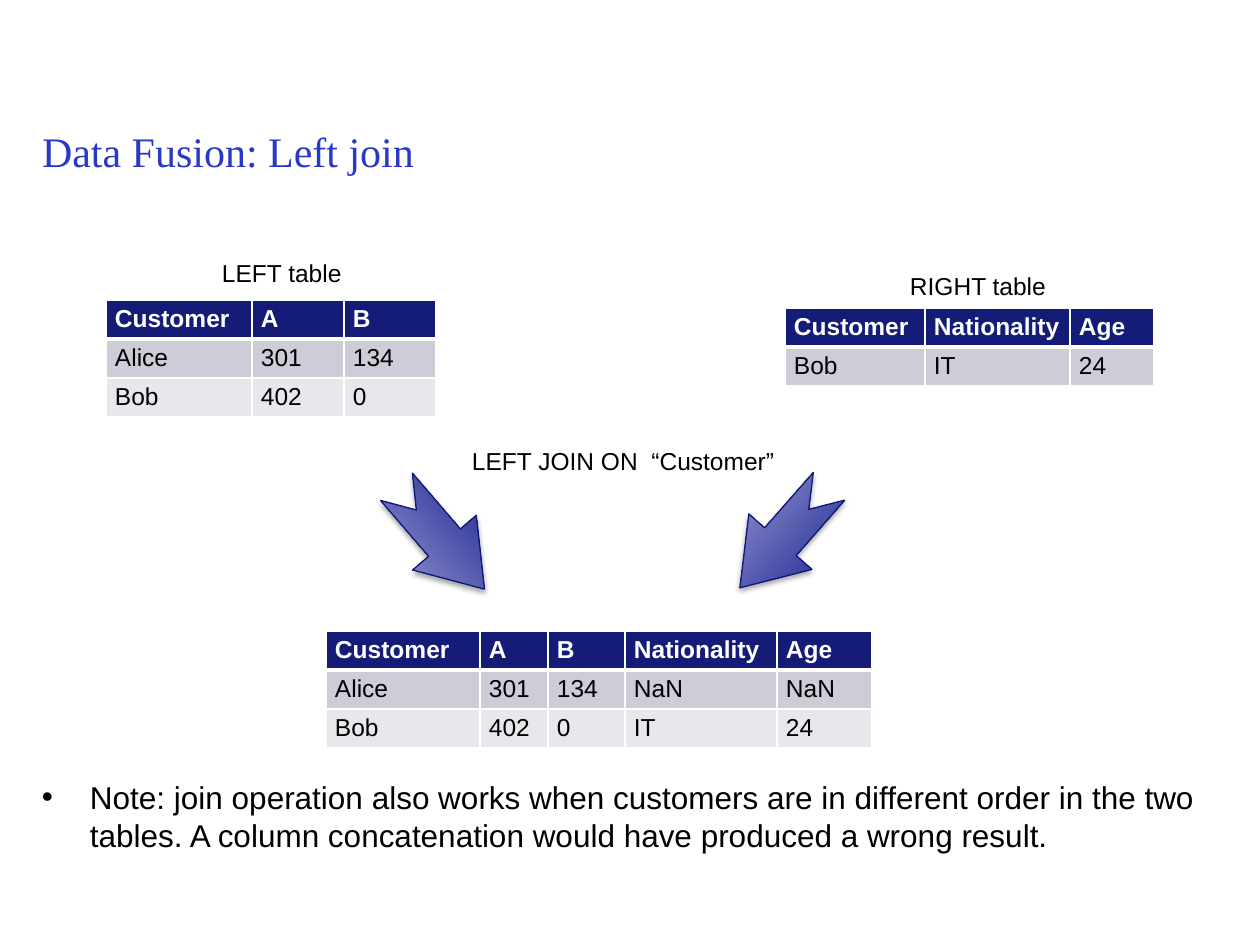
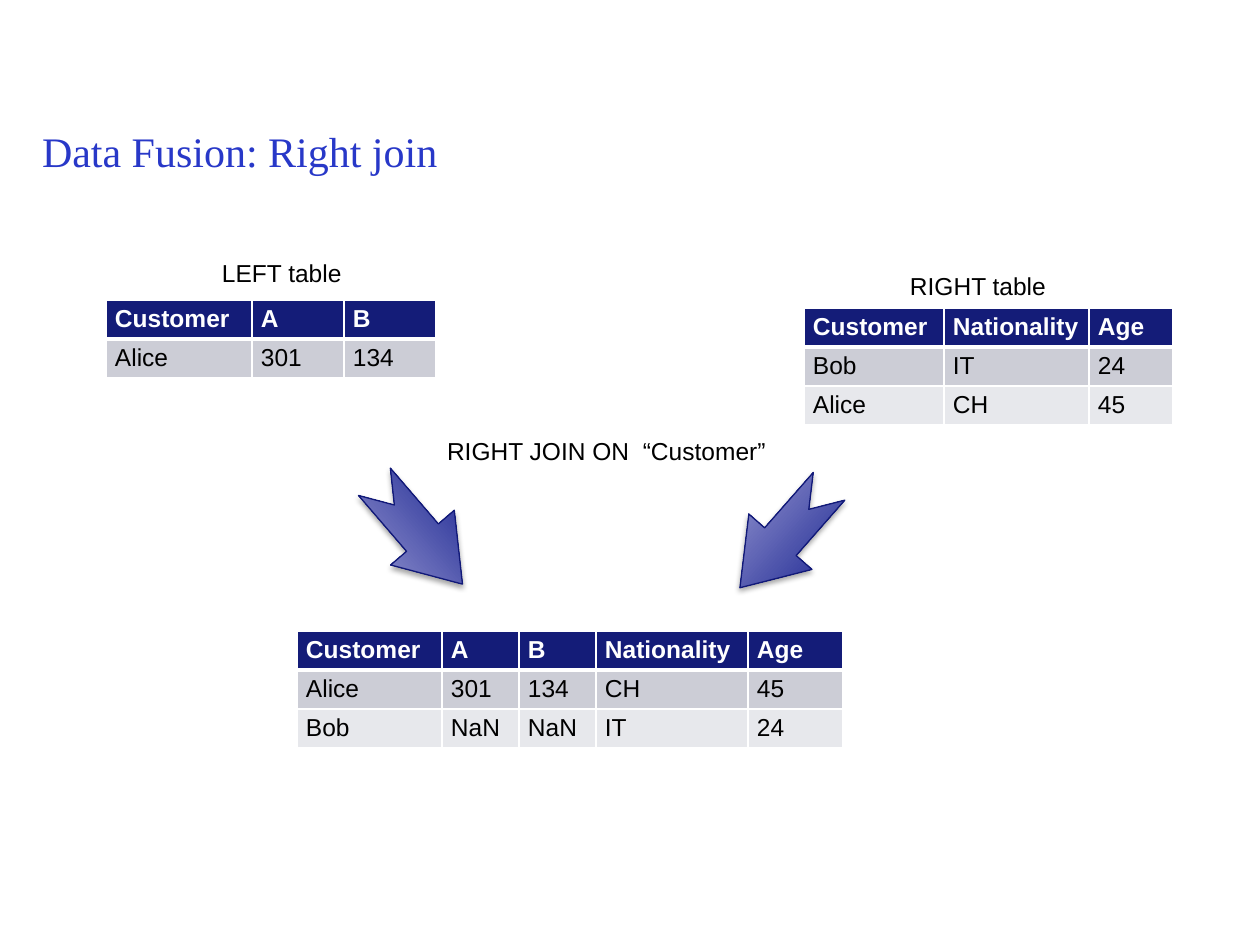
from lxml.etree import SubElement
from pptx import Presentation
from pptx.dml.color import RGBColor
from pptx.enum.shapes import MSO_SHAPE
from pptx.enum.text import MSO_ANCHOR, MSO_AUTO_SIZE, PP_ALIGN
from pptx.oxml.ns import qn
from pptx.util import Emu, Pt

PIXEL = 914400 // 126
COLORS = {
    "title": "2838C8", "text": "000000", "white": "FFFFFF",
    "header": "141C78", "odd": "CCCDD6", "even": "E7E8EC",
    "arrow_dark": "050F87", "arrow_light": "ACADDB", "arrow_line": "111978",
}
BODY_FONT, TITLE_FONT = "Arial", "Times New Roman"
TITLE_BOX = (42, 125, 1176, 99)
NOTE_BOX = (42, 778, 1176, 80)
ROW_HEIGHT = 39
ARROW_SIZE = (135, 84)
LEFT_ANGLE, RIGHT_ANGLE = 49.3, 131.3
LEFT_WIDTHS = (146, 92, 92)
RIGHT_WIDTHS = (140, 145, 84)
LEFT_HEADER = ("Customer", "A", "B")
RIGHT_HEADER = ("Customer", "Nationality", "Age")
JOINED_HEADER = LEFT_HEADER + RIGHT_HEADER[1:]
TABLE_LABELS = [
    ("LEFT table", (222, 258, 121, 30)),
    ("RIGHT table", (910, 271, 137, 30)),
]

SLIDES = [
    {
        "title": "Data Fusion: Left join",
        "join": ("LEFT JOIN ON  “Customer”", (472, 446, 305, 30)),
        "tables": [
            (106, 300, LEFT_WIDTHS,
             [LEFT_HEADER, ("Alice", "301", "134"), ("Bob", "402", "0")]),
            (785, 308, RIGHT_WIDTHS, [RIGHT_HEADER, ("Bob", "IT", "24")]),
            (326, 631, (154, 68, 77, 152, 95),
             [JOINED_HEADER, ("Alice", "301", "134", "NaN", "NaN"),
              ("Bob", "402", "0", "IT", "24")]),
        ],
        "arrows": [(373, 496, LEFT_ANGLE), (717, 495, RIGHT_ANGLE)],
        "note": "Note: join operation also works when customers are in different "
                "order in the two tables. A column concatenation would have "
                "produced a wrong result.",
    },
    {
        "title": "Data Fusion: Right join",
        "join": ("RIGHT JOIN ON  “Customer”", (447, 436, 321, 30)),
        "tables": [
            (106, 300, LEFT_WIDTHS, [LEFT_HEADER, ("Alice", "301", "134")]),
            (804, 308, RIGHT_WIDTHS,
             [RIGHT_HEADER, ("Bob", "IT", "24"), ("Alice", "CH", "45")]),
            (297, 631, (145, 77, 77, 152, 95),
             [JOINED_HEADER, ("Alice", "301", "134", "CH", "45"),
              ("Bob", "NaN", "NaN", "IT", "24")]),
        ],
        "arrows": [(351, 491, LEFT_ANGLE), (717, 495, RIGHT_ANGLE)],
    },
]


def px(value):
    return Emu(value * PIXEL)


def box(*lengths):
    return [px(length) for length in lengths]


def rgb(name):
    return RGBColor.from_string(COLORS[name])


def write(frame, text, size=14, font=BODY_FONT, color="text", bold=False,
          before=0, margins=(0, 0), wrap=True):
    frame.word_wrap = wrap
    frame.margin_left = frame.margin_right = px(margins[0])
    frame.margin_top = frame.margin_bottom = px(margins[1])
    paragraph = frame.paragraphs[0]
    paragraph.alignment = PP_ALIGN.LEFT
    paragraph.space_before = Pt(before)
    run = paragraph.add_run()
    run.text = text
    run.font.size = Pt(size)
    run.font.name = font
    run.font.bold = bold
    run.font.color.rgb = rgb(color)
    return paragraph


def add_title(slide, text):
    title = slide.shapes.title
    title.left, title.top, title.width, title.height = box(*TITLE_BOX)
    frame = title.text_frame
    frame.auto_size = MSO_AUTO_SIZE.NONE
    frame.vertical_anchor = MSO_ANCHOR.TOP
    write(frame, text, size=24, font=TITLE_FONT, color="title", before=3)


def add_label(slide, text, place):
    label = slide.shapes.add_textbox(*box(*place))
    write(label.text_frame, text, before=2.8, wrap=False)


def add_note(slide, text):
    note = slide.shapes.add_textbox(*box(*NOTE_BOX))
    properties = write(note.text_frame, text, size=18)._p.get_or_add_pPr()
    properties.set("marL", str(px(48)))
    properties.set("indent", str(-px(48)))
    SubElement(properties, qn("a:buFont"), typeface=BODY_FONT)
    SubElement(properties, qn("a:buChar"), char="•")


def set_borders(cell, top, bottom):
    properties = cell._tc.get_or_add_tcPr()
    for side, width in (("L", 1), ("R", 1), ("T", top), ("B", bottom)):
        line = SubElement(properties, qn(f"a:ln{side}"), w=str(Pt(width)))
        fill = SubElement(line, qn("a:solidFill"))
        SubElement(fill, qn("a:srgbClr"), val=COLORS["white"])


def add_table(slide, left, top, widths, rows):
    place = box(left, top, sum(widths), ROW_HEIGHT * len(rows))
    table = slide.shapes.add_table(len(rows), len(widths), *place).table
    for column, width in zip(table.columns, widths):
        column.width = px(width)
    for row_index, values in enumerate(rows):
        is_header = row_index == 0
        fill = "header" if is_header else ("even", "odd")[row_index % 2]
        for column_index, value in enumerate(values):
            cell = table.cell(row_index, column_index)
            set_borders(cell, 3 if row_index == 1 else 1, 3 if is_header else 1)
            cell.fill.solid()
            cell.fill.fore_color.rgb = rgb(fill)
            write(cell.text_frame, value, bold=is_header,
                  color="white" if is_header else "text")
            cell.margin_left = cell.margin_right = px(9)
            cell.margin_top = cell.margin_bottom = px(5)


def add_arrow(slide, left, top, angle):
    arrow = slide.shapes.add_shape(
        MSO_SHAPE.NOTCHED_RIGHT_ARROW, *box(left, top, *ARROW_SIZE))
    arrow.rotation = angle
    arrow.adjustments[0], arrow.adjustments[1] = 0.5, 0.73
    properties = arrow._element.spPr
    properties.find(qn("a:xfrm")).set("flipV", "1")
    arrow.fill.gradient()
    arrow.fill.gradient_angle = 90
    for stop, name, position in zip(arrow.fill.gradient_stops,
                                    ("arrow_dark", "arrow_light"), (0, 1)):
        stop.color.rgb = rgb(name)
        stop.position = position
    arrow.line.color.rgb = rgb("arrow_line")
    arrow.line.width = Pt(0.75)
    arrow.shadow.inherit = False
    shadow = SubElement(
        properties.find(qn("a:effectLst")), qn("a:outerShdw"),
        blurRad=str(Pt(3.1)), dist=str(Pt(1.8)), dir="5400000", rotWithShape="0")
    color = SubElement(shadow, qn("a:srgbClr"), val=COLORS["text"])
    SubElement(color, qn("a:alpha"), val="35000")


presentation = Presentation()
presentation.slide_width, presentation.slide_height = box(1260, 945)
for content in SLIDES:
    slide = presentation.slides.add_slide(presentation.slide_layouts[5])
    add_title(slide, content["title"])
    for table in content["tables"]:
        add_table(slide, *table)
    for arrow in content["arrows"]:
        add_arrow(slide, *arrow)
    for label in [content["join"], *TABLE_LABELS]:
        add_label(slide, *label)
    if "note" in content:
        add_note(slide, content["note"])
presentation.save("out.pptx")
